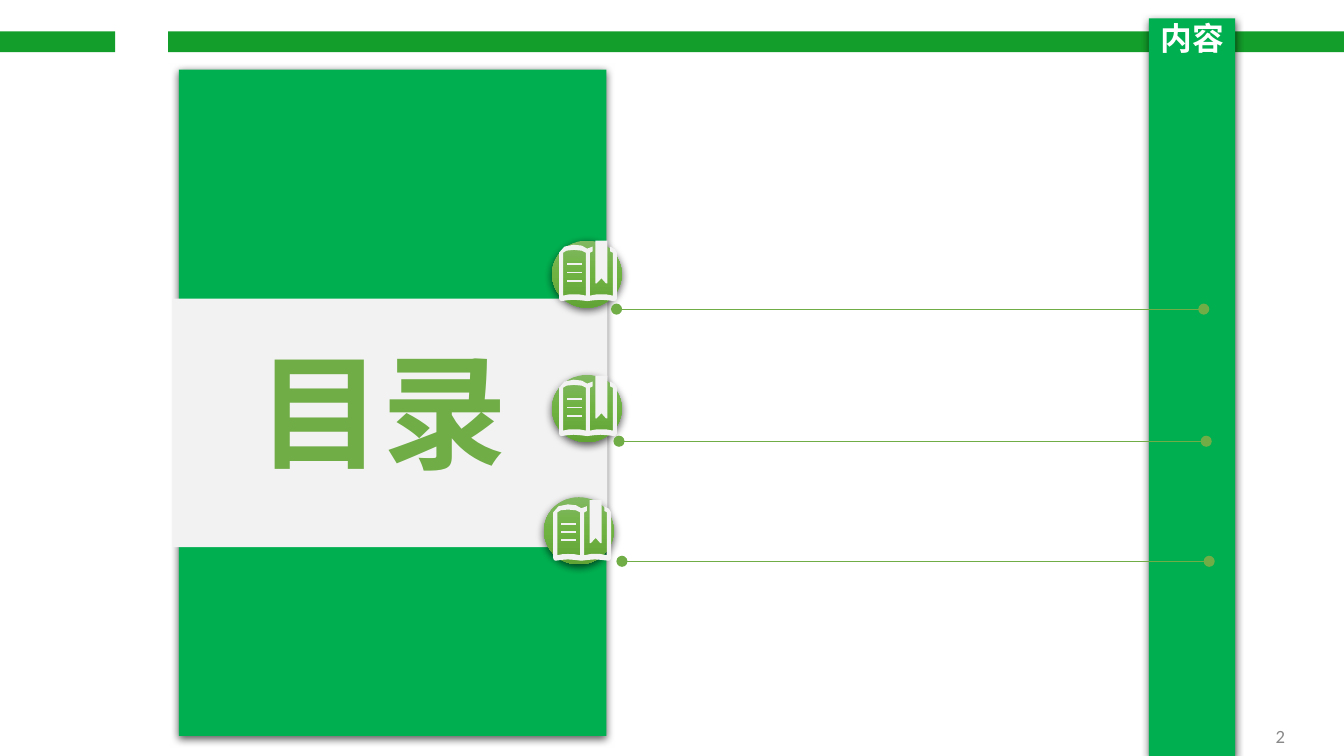
from dataclasses import dataclass
from pptx import Presentation
from pptx import util as u
from pptx.dml import color as c
from pptx.enum import shapes as es, text as et
from pptx.oxml import parse_xml
from pptx.oxml.ns import nsdecls, qn


@dataclass(frozen=True)
class Theme:
    bar: str = "139D2A"
    panel: str = "00B050"
    pale: str = "F2F2F2"
    leaf: str = "70AD47"
    white: str = "FFFFFF"
    grey: str = "898989"
    fade: tuple = ((0, "81B861"), (50, "6FB242"), (100, "62A336"))
    han: str = "Noto Sans CJK SC"
    head: str = "Montserrat"
    small: str = "Calibri"
    title: float = 17
    big: float = 67
    num: float = 10


T = Theme()
PEN = u.Pt(0.1)
BOOK = [(274, 32), (274, 58), (288, 65), (288, 295), (252, 288), (202, 288),
        (166, 295), (166, 65), (180, 58), (180, 32), (151, 43), (122, 27),
        (79, 22), (29, 32), (0, 65), (0, 310), (4, 321), (14, 324), (43, 320),
        (79, 317), (115, 320), (151, 324), (187, 320), (223, 317), (259, 320),
        (295, 324), (306, 321), (310, 310), (310, 65), (299, 46)]
PAGE = [(144, 295), (112, 289), (79, 288), (50, 289), (22, 295), (22, 65),
        (40, 54), (79, 50), (122, 54), (144, 65)]
MARK = [(194, 0), (259, 0), (259, 230), (252, 230), (227, 202), (201, 230), (194, 230)]
ROWS = [[(43, y), (122, y), (122, y + 10), (43, y + 10)] for y in (122, 166, 210)]


def rgb(tint):
    return c.RGBColor.from_string(tint)


def apply(item, form):
    for key, val in form.items():
        setattr(item, key, val)


def place(shape, box):
    apply(shape, dict(zip(("left", "top", "width", "height"), map(u.Pt, box))))


def paint(shape, tint):
    shape.shadow.inherit = False
    shape.fill.solid()
    shape.fill.fore_color.rgb = rgb(tint)
    shape.line.fill.background()


def shade(shape):
    glow = shape.element.spPr.find(qn("a:effectLst"))
    glow.append(parse_xml(
        f'<a:outerShdw {nsdecls("a")} blurRad="{u.Pt(4.5)}" dist="{u.Pt(1.5)}" '
        'dir="5400000" algn="ctr" rotWithShape="0"><a:srgbClr val="000000">'
        '<a:alpha val="63000"/></a:srgbClr></a:outerShdw>'))


def block(slide, box, tint, kind=es.MSO_SHAPE.RECTANGLE):
    shape = slide.shapes.add_shape(kind, *map(u.Pt, box))
    paint(shape, tint)
    return shape


def write(shape, words, face, size, tint, align, bold=False, wrap=True,
          anchor=et.MSO_ANCHOR.TOP, lead=None):
    frame = shape.text_frame
    apply(frame, dict(margin_left=u.Pt(5.6), margin_right=u.Pt(5.6),
                      margin_top=u.Pt(2.8), margin_bottom=u.Pt(2.8),
                      auto_size=et.MSO_AUTO_SIZE.NONE, word_wrap=wrap,
                      vertical_anchor=anchor))
    para = frame.paragraphs[0]
    apply(para, dict(alignment=align, line_spacing=lead))
    run = para.add_run()
    run.text = words
    apply(run.font, dict(name=face, size=u.Pt(size), bold=bold))
    run.font.color.rgb = rgb(tint)
    run.font.fill.solid()
    run.font.fill.fore_color.rgb = rgb(tint)
    latin = run.font._element.find(qn("a:latin"))
    latin.addnext(parse_xml(f'<a:ea {nsdecls("a")} typeface="{T.han}"/>'))


def label(slide, box, *args, **form):
    write(slide.shapes.add_textbox(*map(u.Pt, box)), *args, **form)


def header(slide):
    title = slide.shapes.title
    title.element.getparent().append(title.element)
    place(title, (615.5, 9.8, 46.2, 395.2))
    paint(title, T.panel)
    shade(title)
    write(title, "内容", T.han, T.title, T.white, et.PP_ALIGN.CENTER,
          bold=True, wrap=False, lead=0.9)


def disc(slide, left, top):
    shape = block(slide, (left, top, 37.4, 36), T.leaf, es.MSO_SHAPE.OVAL)
    shade(shape)
    stops = "".join(f'<a:gs pos="{pos * 1000}"><a:srgbClr val="{tint}"/></a:gs>'
                    for pos, tint in T.fade)
    spot = shape.element.spPr
    spot.replace(spot.find(qn("a:solidFill")), parse_xml(
        f'<a:gradFill {nsdecls("a")} rotWithShape="1"><a:gsLst>{stops}</a:gsLst>'
        '<a:lin ang="5400000" scaled="0"/></a:gradFill>'))


def trace(group, left, top, *loops):
    pen = group.shapes.build_freeform(*loops[0][0], scale=PEN)
    for step, loop in enumerate(loops):
        if step:
            pen.move_to(*loop[0])
        pen.add_line_segments(loop[1:], close=True)
    paint(pen.convert_to_shape(u.Pt(left), u.Pt(top)), T.pale)


def icon(slide, left, top):
    group = slide.shapes.add_group_shape()
    for loops in ([MARK], *([row] for row in ROWS), [BOOK, PAGE]):
        trace(group, left, top, *loops)


def rule(slide, left, top):
    line = slide.shapes.add_connector(
        es.MSO_CONNECTOR.STRAIGHT, *map(u.Pt, (left, top, left + 314.6, top)))
    line.line.width = u.Pt(0.5)
    line.line.color.rgb = rgb(T.leaf)
    for end in ("head", "tail"):
        line.line._ln.append(parse_xml(f'<a:{end}End {nsdecls("a")} type="oval"/>'))
    line.element.spPr.append(parse_xml(f'<a:effectLst {nsdecls("a")}/>'))


def main():
    deck = Presentation()
    apply(deck, dict(slide_width=u.Pt(720), slide_height=u.Pt(405)))
    slide = deck.slides.add_slide(deck.slide_layouts[5])
    for left, wide in ((0, 61.8), (90, 630)):
        block(slide, (left, 16.8, wide, 11.2), T.bar)
    shade(block(slide, (95.8, 37.3, 229, 357), T.panel))
    header(slide)
    block(slide, (92.5, 160, 233, 133.2), T.pale)
    label(slide, (93.6, 176.4, 222.5, 87), "目录", T.head, T.big, T.leaf,
          et.PP_ALIGN.CENTER, bold=True)
    label(slide, (651, 385.2, 43, 18), "2", T.small, T.num, T.grey,
          et.PP_ALIGN.RIGHT, anchor=et.MSO_ANCHOR.MIDDLE)
    items = (((295.7, 128.9), (299.5, 128.9), (330.3, 165.6)),
             ((295.7, 200.9), (299.5, 201.2), (331.6, 236.4)),
             ((291.4, 266.4), (296.4, 268), (333.2, 300.7)))
    for spot, book, start in items:
        disc(slide, *spot)
        rule(slide, *start)
        icon(slide, *book)
    deck.save("out.pptx")


main()
